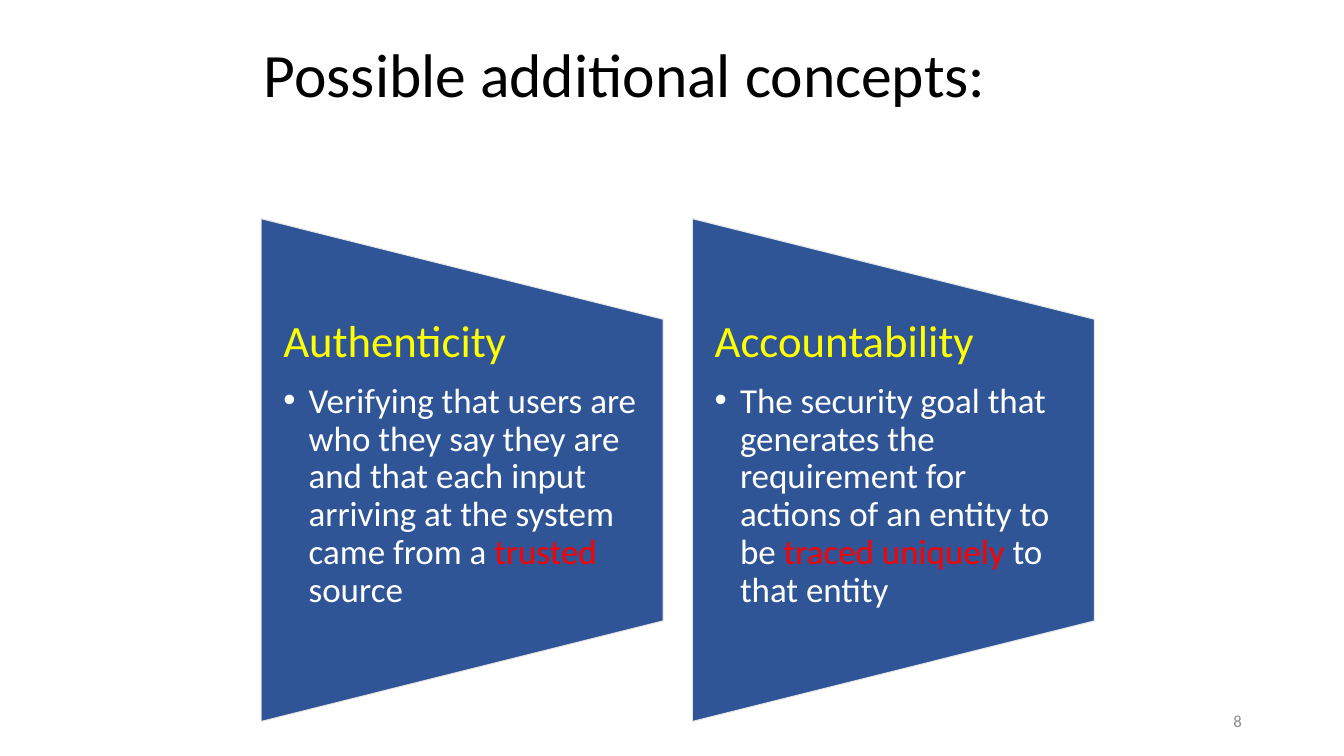
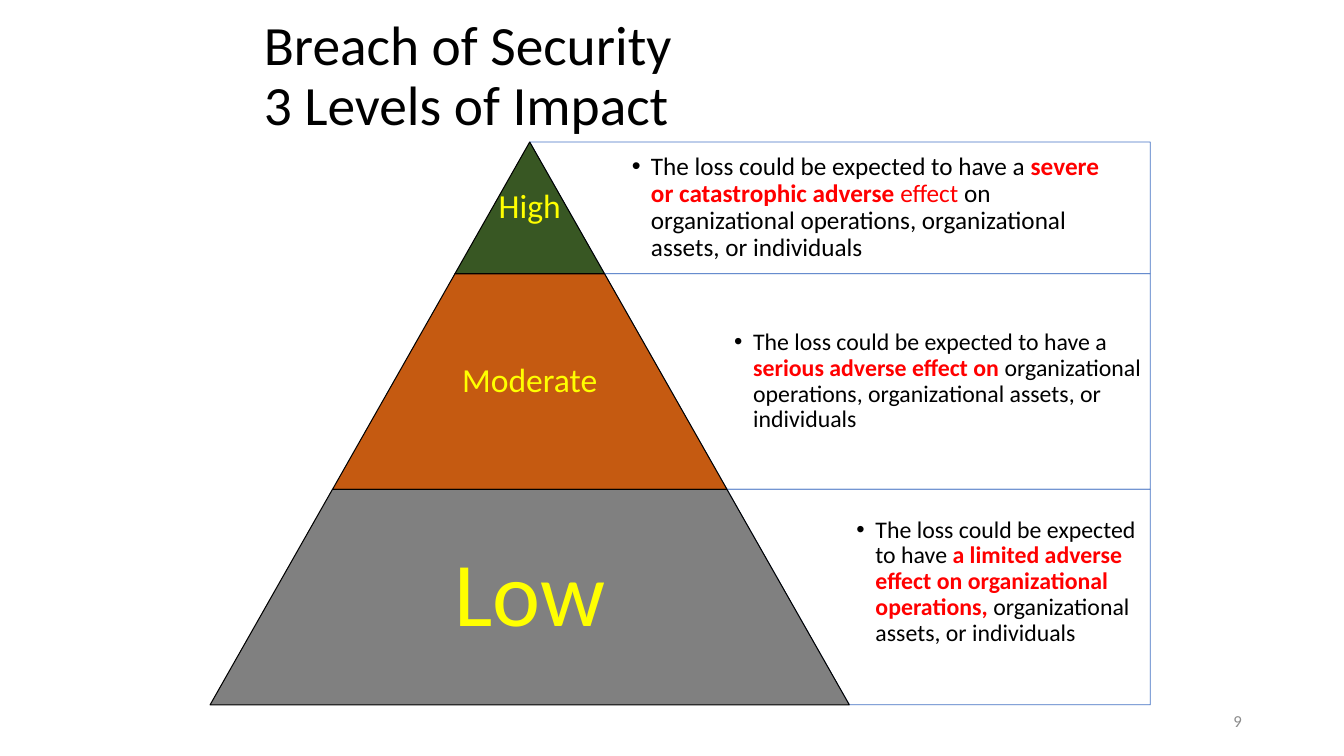
from lxml import etree
from pptx import Presentation
from pptx.dml.color import RGBColor
from pptx.enum.shapes import MSO_SHAPE
from pptx.enum.text import MSO_ANCHOR, PP_ALIGN
from pptx.oxml.ns import qn
from pptx.util import Cm, Pt

FLARED = MSO_SHAPE.FLOWCHART_MANUAL_OPERATION
TRAPEZOID = MSO_SHAPE.TRAPEZOID
SIDE_PANEL = MSO_SHAPE.NON_ISOSCELES_TRAPEZOID
TOP, MIDDLE = MSO_ANCHOR.TOP, MSO_ANCHOR.MIDDLE
LEFT, CENTER, RIGHT = PP_ALIGN.LEFT, PP_ALIGN.CENTER, PP_ALIGN.RIGHT

# Shared style
FONT = "Calibri"
BLACK, WHITE, YELLOW, RED = "000000", "FFFFFF", "FFFF00", "FF0000"
GREY, PALE, NAVY, BLUE = "8C8C8C", "E7E6E6", "2F5597", "4472C4"
TITLE_BOX = (6.4, 0.18, 21.06, 3.56)
NUMBER_BOX = (23.93, 17.65, 7.62, 1.02)
DEFAULT_INSETS = (0.25, 0.13, 0.25, 0.13)
SLOPE = 0.568  # sideways run of the pyramid's edge per unit of height


def rgb(value):
    return RGBColor.from_string(value)


def add_text_box(s, box, anchor=TOP, insets=DEFAULT_INSETS):
    tf = s.shapes.add_textbox(*map(Cm, box)).text_frame
    tf.word_wrap = True
    tf.vertical_anchor = anchor
    tf.margin_left, tf.margin_top, tf.margin_right, tf.margin_bottom = map(Cm, insets)
    return tf


def style_paragraph(p, align=LEFT, after=0, bullet_indent=0):
    if bullet_indent:
        pPr = p._p.get_or_add_pPr()
        pPr.set("marL", str(Cm(bullet_indent)))
        pPr.set("indent", str(-Cm(bullet_indent)))
        etree.SubElement(pPr, qn("a:buFont")).set("typeface", "Arial")
        etree.SubElement(pPr, qn("a:buChar")).set("char", "•")
    p.alignment = align
    p.line_spacing = 0.9
    p.space_after = Pt(after)


def add_run(p, text, size, color, bold=False):
    r = p.add_run()
    r.text = text
    r.font.name = FONT
    r.font.size = Pt(size)
    r.font.bold = bold
    r.font.color.rgb = rgb(color)


def add_preset(s, kind, box, fill, line, width, alpha=None):
    sp = s.shapes.add_shape(kind, *map(Cm, box))
    sp.shadow.inherit = False
    sp.fill.solid()
    sp.fill.fore_color.rgb = rgb(fill)
    sp.line.color.rgb = rgb(line)
    sp.line.width = Pt(width)
    if alpha:
        color = sp._element.spPr.find(qn("a:solidFill"))[0]
        etree.SubElement(color, qn("a:alpha")).set("val", str(alpha * 1000))
    return sp


def add_slide(prs, title_lines, size, number):
    s = prs.slides.add_slide(prs.slide_layouts[6])
    # Title
    p = add_text_box(s, TITLE_BOX, MIDDLE).paragraphs[0]
    style_paragraph(p)
    for i, line in enumerate(title_lines):
        if i:
            p.add_line_break()
        add_run(p, line, size, BLACK)
    # Slide number
    p = add_text_box(s, NUMBER_BOX, MIDDLE).paragraphs[0]
    p.alignment = RIGHT
    add_run(p, number, 12, GREY)
    return s


def add_card(s, box, heading, runs):
    x, y, w, h = box
    # The preset is laid out lying down, then turned about its centre
    turned = (x + (w - h) / 2, y + (h - w) / 2, h, w)
    add_preset(s, FLARED, turned, NAVY, PALE, 0.75).rotation = 270
    tf = add_text_box(s, (x, y + h / 5, w, h * 3 / 5), TOP, (0.56, 0, 0.56, 0))
    p = tf.paragraphs[0]
    style_paragraph(p, after=11)
    add_run(p, heading, 32, YELLOW)
    p = tf.add_paragraph()
    style_paragraph(p, after=4, bullet_indent=0.64)
    for text, color in runs:
        add_run(p, text, 25, color)


def add_level(s, apex, right, box_top, height, depth, level):
    """One pyramid layer whose top lies depth below the apex, and its panel."""
    inset = SLOPE * height
    half = SLOPE * (depth + height)
    # Side panel
    left = apex + SLOPE * depth
    panel = add_preset(s, SIDE_PANEL, (left, box_top, right - left, height),
                       WHITE, BLUE, 0.5, alpha=90)
    panel.rotation = 180
    panel.adjustments[0], panel.adjustments[1] = 0, SLOPE
    tf = add_text_box(s, (apex + half, box_top, right - apex - half, height),
                      MIDDLE, level["insets"])
    p = tf.paragraphs[0]
    style_paragraph(p, after=2.7, bullet_indent=0.48)
    for text, color, bold in level["runs"]:
        add_run(p, text, level["size"], color, bold)
    # Pyramid layer
    layer = add_preset(s, TRAPEZOID, (apex - half, box_top, 2 * half, height),
                       level["fill"], BLACK, 0.75)
    layer.adjustments[0] = inset / min(height, 2 * half)
    label_half = half * (0.65 if depth else 1)
    tf = add_text_box(s, (apex - label_half, box_top, 2 * label_half, height),
                      MIDDLE, (0.08,) * 4)
    p = tf.paragraphs[0]
    style_paragraph(p, CENTER)
    add_run(p, level["label"], level["label_size"], YELLOW)


def add_pyramid(s, box, apex, levels):
    x, y, w, h = box
    depth = 0
    for level in levels:
        height = h * level["share"]
        add_level(s, x + apex, x + w, y + depth, height, depth, level)
        depth += height


CARDS = [
    ("Authenticity", [
        ("Verifying that users are who they say they are and that each input "
         "arriving at the system came from a ", WHITE),
        ("trusted ", RED),
        ("source", WHITE)]),
    ("Accountability", [
        ("The security goal that generates the requirement for actions of an "
         "entity to be ", WHITE),
        ("traced uniquely ", RED),
        ("to that entity", WHITE)]),
]

LEVELS = [
    {"label": "High", "label_size": 24, "fill": "385723", "share": 0.234,
     "size": 18, "insets": (0.69,) * 4, "runs": [
         ("The loss could be expected to have a ", BLACK, False),
         ("severe or catastrophic adverse ", RED, True),
         ("effect ", RED, False),
         ("on organizational operations, organizational assets, or individuals",
          BLACK, False)]},
    {"label": "Moderate", "label_size": 24, "fill": "C55A11", "share": 0.383,
     "size": 17, "insets": (0.18,) * 4, "runs": [
         ("The loss could be expected to have a ", BLACK, False),
         ("serious adverse effect on ", RED, True),
         ("organizational operations, organizational assets, or individuals",
          BLACK, False)]},
    {"label": "Low", "label_size": 65, "fill": "808080", "share": 0.383,
     "size": 17, "insets": (0.18, 0.18, 0.18, 0.94), "runs": [
         ("The loss could be expected to have ", BLACK, False),
         ("a limited adverse effect on organizational operations, ", RED, True),
         ("organizational assets, or individuals", BLACK, False)]},
]


def main():
    prs = Presentation()
    prs.slide_width, prs.slide_height = Cm(33.87), Cm(19.05)

    # Additional concepts
    s = add_slide(prs, ["Possible additional concepts:"], 44, "8")
    for i, (heading, runs) in enumerate(CARDS):
        add_card(s, (6.58 + i * 10.87, 5.51, 10.13, 12.67), heading, runs)

    # Levels of impact
    s = add_slide(prs, ["Breach of Security", "3 Levels of Impact"], 39.6, "9")
    add_pyramid(s, (5.29, 3.58, 23.7, 14.18), 8.06, LEVELS)

    prs.save("out.pptx")


if __name__ == "__main__":
    main()
